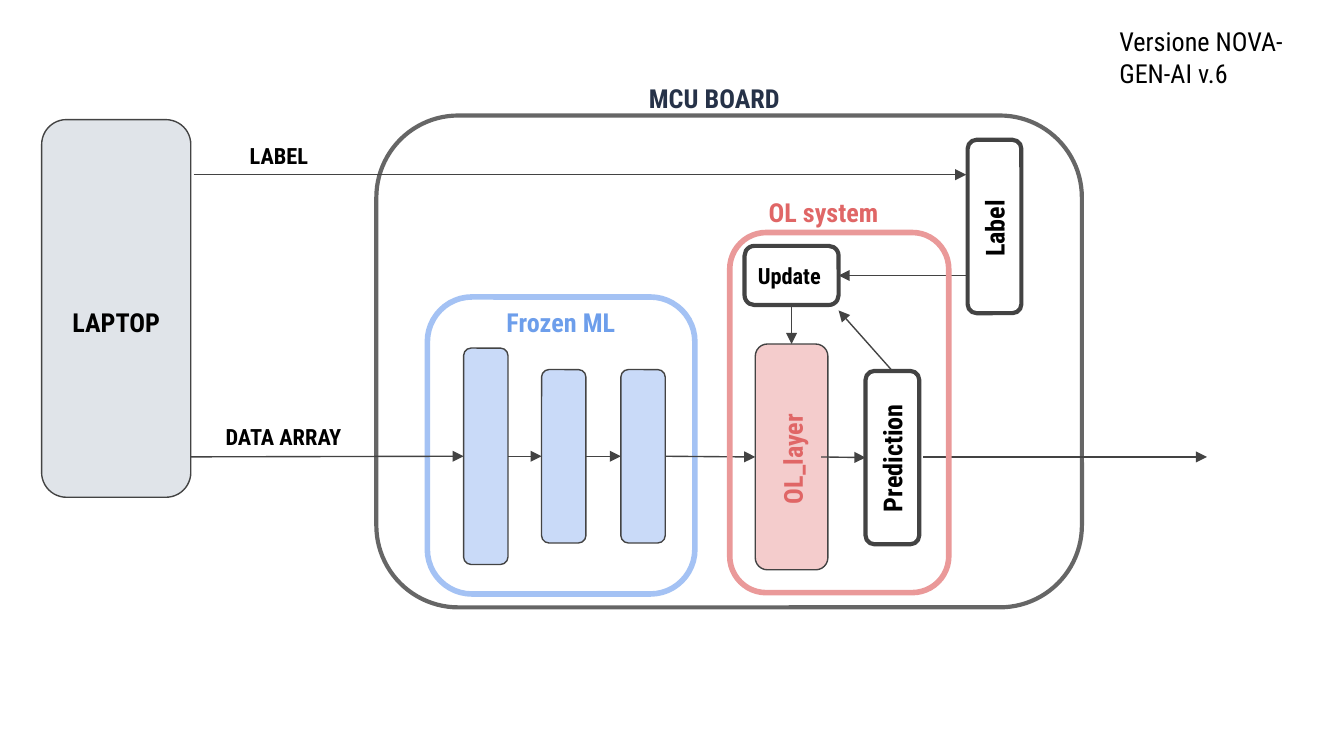
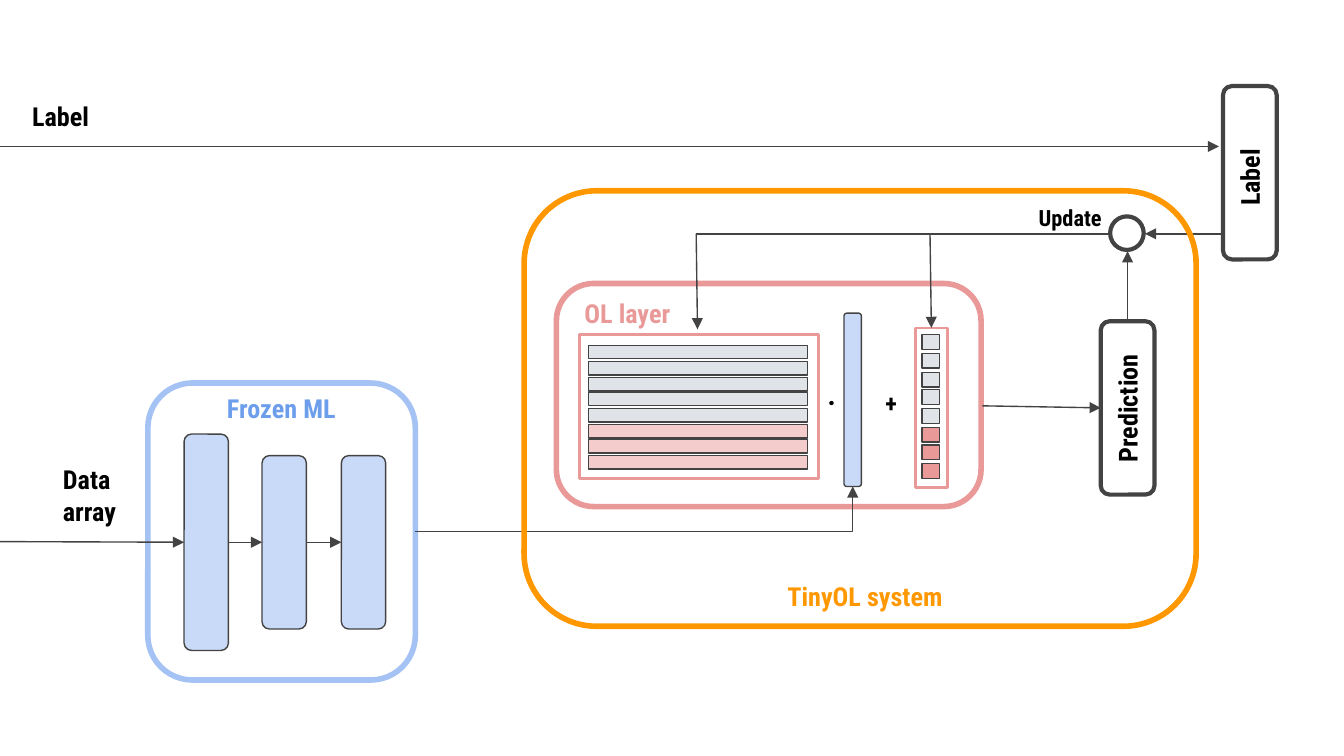
from dataclasses import dataclass
from typing import NamedTuple

import lxml.etree
import pptx
import pptx.dml.color
import pptx.enum.shapes
import pptx.enum.text
import pptx.oxml.ns
import pptx.shapes.autoshape
import pptx.shapes.connector
import pptx.slide
import pptx.util

PX = 9144  # 100 px to the inch
WIDE = 1000
Shape = pptx.shapes.autoshape.Shape
Slide = pptx.slide.Slide
Form = pptx.enum.shapes.MSO_SHAPE
Wire = pptx.enum.shapes.MSO_CONNECTOR
qn = pptx.oxml.ns.qn
TOP, LEFT, BOTTOM, RIGHT = range(4)


@dataclass(frozen=True)
class Theme:
    font: str = "Roboto Condensed"
    black: str = "000000"
    dark: str = "434343"
    gray: str = "666666"
    pale: str = "E0E4E9"
    navy: str = "263248"
    sky: str = "C9DAF8"
    edge: str = "A4C2F4"
    blue: str = "6D9EEB"
    pink: str = "F4CCCC"
    rose: str = "EA9999"
    red: str = "E06666"
    gold: str = "FF9800"
    head: int = 14
    small: int = 12
    plus: int = 13
    dot: int = 15
    thin: float = 0.75
    mid: float = 1.5
    bold: float = 2.25
    thick: float = 3


T = Theme()


@dataclass(frozen=True)
class Box:
    x: int
    y: int
    w: int
    h: int
    fill: str = ""
    line: str = T.dark
    width: float = T.thin
    form: Form = Form.ROUNDED_RECTANGLE


@dataclass(frozen=True)
class Note:
    text: str
    x: int
    y: int
    w: int
    h: int = 44
    color: str = T.black
    size: int = T.head
    bold: bool = True
    turn: int = 0


class Point(NamedTuple):
    x: int
    y: int


class Side(NamedTuple):
    """The middle of one side of a shape."""
    shape: Shape
    site: int


End = Point | Side


def rgb(code: str) -> pptx.dml.color.RGBColor:
    return pptx.dml.color.RGBColor.from_string(code)


def draw(slide: Slide, box: Box) -> Shape:
    shape = slide.shapes.add_shape(
        box.form, box.x * PX, box.y * PX, box.w * PX, box.h * PX)
    shape.shadow.inherit = False
    if box.fill:
        shape.fill.solid()
        shape.fill.fore_color.rgb = rgb(box.fill)
    else:
        shape.fill.background()
    shape.line.color.rgb = rgb(box.line)
    shape.line.width = pptx.util.Pt(box.width)
    return shape


def write(slide: Slide, note: Note) -> None:
    shape = slide.shapes.add_textbox(
        note.x * PX, note.y * PX, note.w * PX, note.h * PX)
    shape.rotation = note.turn
    frame = shape.text_frame
    frame.word_wrap = True
    frame.auto_size = pptx.enum.text.MSO_AUTO_SIZE.SHAPE_TO_FIT_TEXT
    frame.margin_left = frame.margin_right = 10 * PX
    frame.margin_top = frame.margin_bottom = 10 * PX
    frame.text = note.text
    font = frame.paragraphs[0].font
    font.name = T.font
    font.size = pptx.util.Pt(note.size)
    font.bold = note.bold
    font.color.rgb = rgb(note.color)


def locate(end: End) -> tuple[int, int]:
    """Give the place of a connector's end in EMU."""
    if isinstance(end, Point):
        return end.x * PX, end.y * PX
    shape, site = end
    across = {LEFT: 0, RIGHT: 2}.get(site, 1)
    down = {TOP: 0, BOTTOM: 2}.get(site, 1)
    return (shape.left + shape.width * across // 2,
            shape.top + shape.height * down // 2)


def join(slide: Slide, start: End, end: End, arrow: bool = True,
         kind: Wire = Wire.STRAIGHT) -> pptx.shapes.connector.Connector:
    wire = slide.shapes.add_connector(kind, *locate(start), *locate(end))
    if isinstance(start, Side):
        wire.begin_connect(*start)
    if isinstance(end, Side):
        wire.end_connect(*end)
    wire.line.color.rgb = rgb(T.dark)
    wire.line.width = pptx.util.Pt(T.thin)
    props = wire._element.spPr
    if arrow:
        lxml.etree.SubElement(
            props.find(qn("a:ln")), qn("a:tailEnd"), type="triangle")
    lxml.etree.SubElement(props, qn("a:effectLst"))
    return wire


def bend(slide: Slide, start: End, end: End) -> None:
    """Join two ends with a single right-angle turn."""
    wire = join(slide, start, end, kind=Wire.ELBOW)
    wire._element.spPr.find(qn("a:prstGeom")).set("prst", "bentConnector2")


def tower(slide: Slide, text: str, x: int, y: int, span: int,
          drop: int = 42) -> Shape:
    """Draw an upright box with its text turned to read upwards."""
    shape = draw(slide, Box(x, y, 40, 129, width=T.bold))
    write(slide, Note(text, x + 20 - span // 2, y + drop, span, turn=270))
    return shape


def frozen(slide: Slide, x: int, y: int) -> tuple[Shape, list[Shape]]:
    """Draw the frozen model; return its frame and its layers."""
    frame = draw(slide, Box(x, y, 199, 221, line=T.edge, width=T.thick))
    bars = []
    for i, tall in enumerate((161, 129, 129)):
        top = y + 118 - tall // 2
        bars.append(draw(
            slide, Box(x + 27 + i * 117 // 2, top, 33, tall, T.sky)))
    for one, two in zip(bars, bars[1:]):
        join(slide, Side(one, RIGHT), Side(two, LEFT))
    write(slide, Note("Frozen ML", x + 49, y - 3, 105, color=T.blue))
    return frame, bars


def board(slide: Slide) -> None:
    """Slide 1: the laptop feeding the board."""
    draw(slide, Box(280, 86, 525, 366, line=T.gray, width=T.bold))
    _, bars = frozen(slide, 318, 221)
    layer = draw(slide, Box(562, 256, 54, 168, T.pink))
    guess = tower(slide, "Prediction", 644, 276, 102)
    tower(slide, "Label", 720, 104, 70, drop=40)
    update = draw(slide, Box(554, 183, 70, 44, width=T.bold))

    join(slide, Point(115, 340), Side(bars[0], LEFT))
    draw(slide, Box(31, 89, 111, 281, T.pale))
    for start, end in (
        (Side(bars[-1], RIGHT), Side(layer, LEFT)),
        (Point(719, 205), Side(update, RIGHT)),
        (Point(144, 130), Point(719, 130)),
        (Side(update, BOTTOM), Side(layer, TOP)),
        (Point(687, 340), Point(898, 340)),
        (Point(611, 340), Side(guess, LEFT)),
        (Side(guess, TOP), Point(624, 231)),
    ):
        join(slide, start, end)

    draw(slide, Box(543, 173, 163, 268, line=T.rose, width=T.thick))
    for note in (
        Note("OL_layer", 545, 318, 90, color=T.red, turn=270),
        Note("MCU BOARD", 473, 51, 134, color=T.navy),
        Note("LAPTOP", 44, 218, 86),
        Note("LABEL", 176, 96, 86, 40, size=T.small),
        Note("DATA ARRAY", 158, 305, 139, 40, size=T.small),
        Note("Update", 554, 185, 70, 40, size=T.small),
        Note("OL system", 562, 136, 105, color=T.red),
        Note("Versione NOVA-GEN-AI v.6", 823, 9, 168, 67, bold=False),
    ):
        write(slide, note)


def detail(slide: Slide) -> None:
    """Slide 2: the inside of the online-learning layer."""
    frame, bars = frozen(slide, 110, 285)
    guess = tower(slide, "Prediction", 819, 239, 102)
    draw(slide, Box(414, 211, 316, 166, line=T.rose, width=T.thick))
    tower(slide, "Label", 910, 64, 70)
    draw(slide, Box(826, 161, 25, 25, width=T.bold, form=Form.OVAL))

    count, kept = 8, 5
    for i in range(count):
        row = T.pale if i < kept else T.pink
        cell = T.pale if i < kept else T.rose
        draw(slide, Box(438, 257 + (i * 82 + 4) // 7, 163, 10, row,
                        form=Form.RECTANGLE))
        draw(slide, Box(686, 249 + (i * 96 + 4) // 7, 13, 11, cell,
                        form=Form.RECTANGLE))
    for x, y, w, h in ((431, 249, 178, 107), (681, 244, 24, 119)):
        draw(slide, Box(x, y, w, h, line=T.rose, width=T.mid,
                        form=Form.RECTANGLE))
    input_bar = draw(slide, Box(628, 233, 13, 129, T.sky))

    bend(slide, Side(frame, RIGHT), Side(input_bar, BOTTOM))
    join(slide, Point(826, 174), Point(518, 174), arrow=False)
    for start, end in (
        (Point(731, 302), Side(guess, LEFT)),
        (Point(911, 174), Point(852, 174)),
        (Side(guess, TOP), Point(839, 187)),
        (Point(692, 174), Point(693, 244)),
        (Point(518, 174), Point(519, 245)),
        (Point(0, 403), Side(bars[0], LEFT)),
        (Point(0, 109), Point(907, 109)),
    ):
        join(slide, start, end)

    draw(slide, Box(390, 142, 500, 324, line=T.gold, width=T.thick))
    for note in (
        Note("+", 649, 279, 33, 42, size=T.plus),
        Note(".", 606, 271, 33, 45, size=T.dot),
        Note("Update", 763, 142, 70, 40, size=T.small),
        Note("OL layer", 425, 211, 105, color=T.rose),
        Note("Data array", 37, 335, 80, 67),
        Note("Label", 14, 65, 70),
        Note("TinyOL system", 576, 422, 161, color=T.gold),
    ):
        write(slide, note)


def main() -> None:
    deck = pptx.Presentation()
    deck.slide_width = WIDE * PX
    deck.slide_height = WIDE * PX * 9 // 16
    for build in (board, detail):
        build(deck.slides.add_slide(deck.slide_layouts[6]))
    deck.save("out.pptx")


if __name__ == "__main__":
    main()
